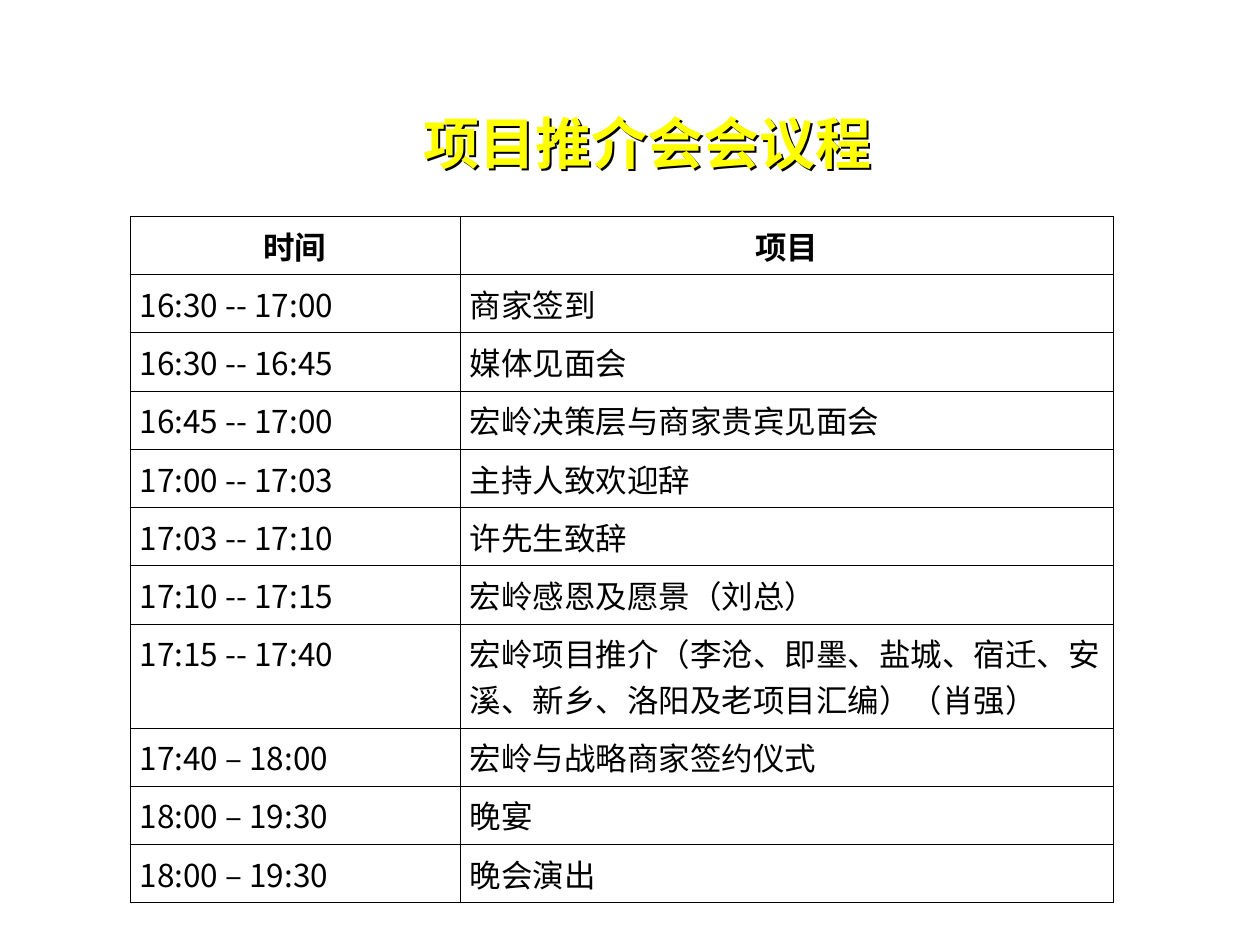
"""Builds the agenda slide of a project promotion conference."""
import pptx
import pptx.dml.color
import pptx.enum.text
import pptx.oxml
import pptx.oxml.ns
import pptx.util
from lxml import etree

Pt = pptx.util.Pt
PP_ALIGN = pptx.enum.text.PP_ALIGN
MSO_ANCHOR = pptx.enum.text.MSO_ANCHOR
qn = pptx.oxml.ns.qn

FONT = "Noto Sans CJK SC"
TITLE = "项目推介会会议程"
AGENDA = [
    ("时间", "项目"),
    ("16:30 -- 17:00", "商家签到"),
    ("16:30 -- 16:45", "媒体见面会"),
    ("16:45 -- 17:00", "宏岭决策层与商家贵宾见面会"),
    ("17:00 -- 17:03", "主持人致欢迎辞"),
    ("17:03 -- 17:10", "许先生致辞"),
    ("17:10 -- 17:15", "宏岭感恩及愿景（刘总）"),
    ("17:15 -- 17:40", "宏岭项目推介（李沧、即墨、盐城、宿迁、安溪、新乡、洛阳及老项目汇编）（肖强）"),
    ("17:40 – 18:00", "宏岭与战略商家签约仪式"),
    ("18:00 – 19:30", "晚宴"),
    ("18:00 – 19:30", "晚会演出"),
]
COLUMN_WIDTHS = (188.6, 373.3)
LINE_HEIGHT = 26.1
CELL_MARGIN = 3.6
CHARS_PER_LINE = 20
SHADOW = (
    '<a:effectLst xmlns:a="http://schemas.openxmlformats.org/drawingml/2006/main">'
    '<a:outerShdw dist="17961" dir="2700000"><a:srgbClr val="000000"/>'
    "</a:outerShdw></a:effectLst>"
)


def color(hex_value):
    return pptx.dml.color.RGBColor.from_string(hex_value)


def add_text(paragraph, text, size, hex_value, bold, align):
    paragraph.alignment = align
    run = paragraph.add_run()
    run.text = text
    run.font.size = Pt(size)
    run.font.bold = bold
    run.font.name = FONT
    run.font.color.rgb = color(hex_value)
    latin = run.font._element.find(qn("a:latin"))
    latin.addnext(etree.Element(qn("a:ea"), typeface=FONT))


def add_borders(cell, hex_value, width):
    properties = cell._tc.get_or_add_tcPr()
    for position, side in enumerate(("lnL", "lnR", "lnT", "lnB")):
        line = etree.Element(qn(f"a:{side}"), w=str(Pt(width)))
        fill = etree.SubElement(line, qn("a:solidFill"))
        etree.SubElement(fill, qn("a:srgbClr"), val=hex_value)
        properties.insert(position, line)


def add_title(slide):
    title = slide.shapes.title
    title.left, title.top, title.width, title.height = map(Pt, (234.7, 58.3, 274.3, 46))
    title.fill.background()
    title.line.fill.background()
    title._element.spPr.append(pptx.oxml.parse_xml(SHADOW))
    frame = title.text_frame
    frame.word_wrap = True
    frame.auto_size = pptx.enum.text.MSO_AUTO_SIZE.SHAPE_TO_FIT_TEXT
    frame.vertical_anchor = MSO_ANCHOR.MIDDLE
    add_text(frame.paragraphs[0], TITLE, 32, "FFFF00", True, PP_ALIGN.LEFT)


def add_agenda(slide):
    row_heights = [
        LINE_HEIGHT * -(-len(item) // CHARS_PER_LINE) + 2 * CELL_MARGIN
        for _, item in AGENDA
    ]
    agenda = slide.shapes.add_table(
        len(AGENDA), len(COLUMN_WIDTHS), Pt(74.2), Pt(123.6),
        Pt(sum(COLUMN_WIDTHS)), Pt(sum(row_heights)),
    ).table
    agenda.horz_banding = False
    for column, width in zip(agenda.columns, COLUMN_WIDTHS):
        column.width = Pt(width)
    for row_index, (entry, height) in enumerate(zip(AGENDA, row_heights)):
        agenda.rows[row_index].height = Pt(height)
        heading = row_index == 0
        align = PP_ALIGN.CENTER if heading else PP_ALIGN.LEFT
        for cell, text in zip(agenda.rows[row_index].cells, entry):
            cell.margin_left = cell.margin_right = Pt(5.7)
            cell.margin_top = cell.margin_bottom = Pt(CELL_MARGIN)
            cell.vertical_anchor = MSO_ANCHOR.TOP
            cell.fill.solid()
            cell.fill.fore_color.rgb = color("FFFFFF")
            add_borders(cell, "000000", 0.45)
            add_text(cell.text_frame.paragraphs[0], text, 18, "000000", heading, align)


def main():
    presentation = pptx.Presentation()
    presentation.slide_width, presentation.slide_height = Pt(720), Pt(540)
    slide = presentation.slides.add_slide(presentation.slide_layouts[5])
    add_agenda(slide)
    add_title(slide)
    presentation.save("out.pptx")


if __name__ == "__main__":
    main()
